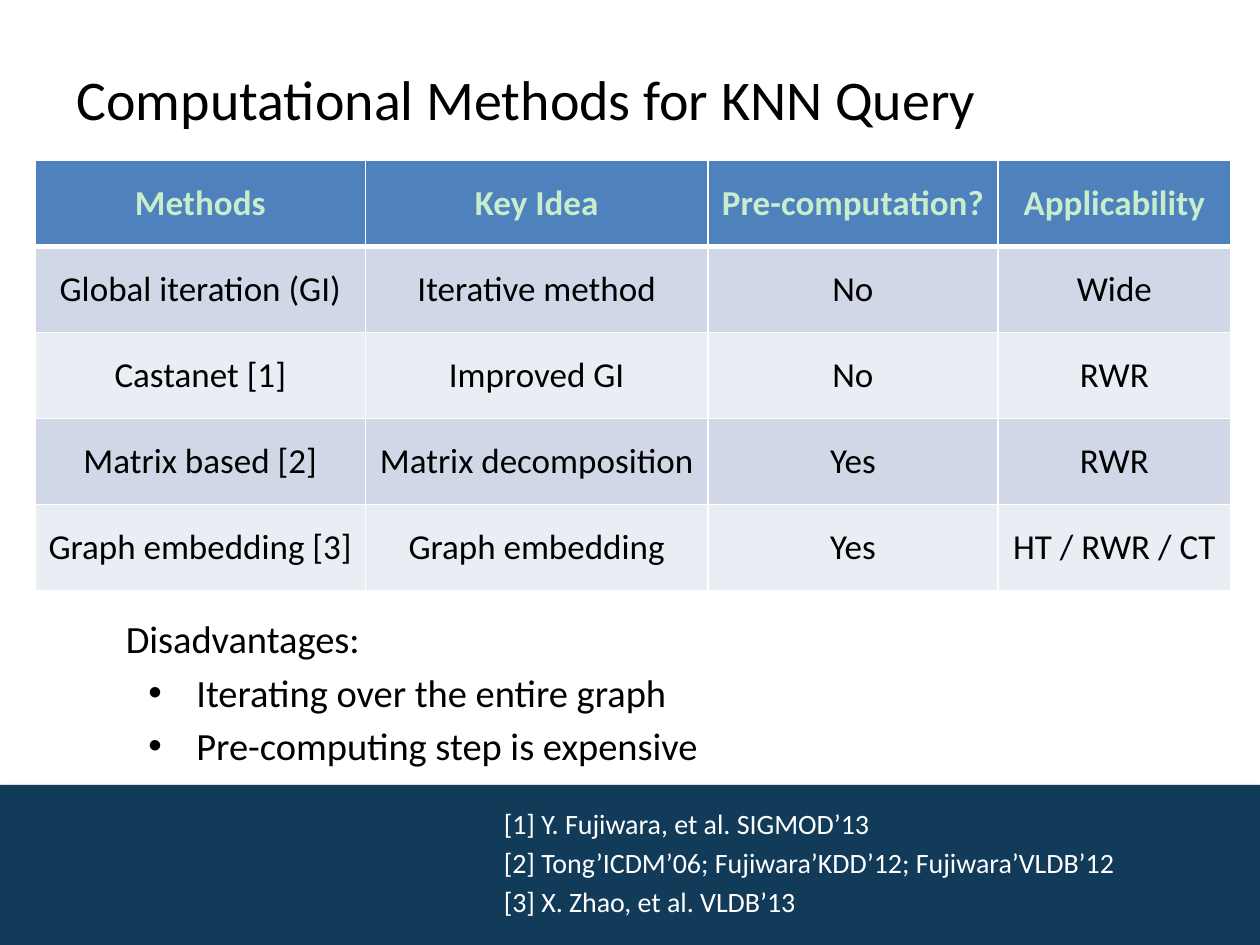
from itertools import product
from lxml.etree import SubElement
from pptx import Presentation
from pptx.dml.color import RGBColor
from pptx.enum.shapes import MSO_SHAPE
from pptx.enum.text import MSO_ANCHOR, PP_ALIGN
from pptx.oxml.ns import qn
from pptx.util import Inches, Pt

WIDE, HIGH = 10, 7.5
FONT = "Calibri"
HEX = {"page": "FFFFFF", "bar": "123A59", "ink": "000000", "mint": "C7EDCC",
       "head": "4F81BD", "dark": "D0D8E8", "pale": "E9EDF4", "rule": "FFFFFF"}
COLS = [2.62, 2.72, 2.3, 1.85]
ROWS = [
    ["Methods", "Key Idea", "Pre-computation?", "Applicability"],
    ["Global iteration (GI)", "Iterative method", "No", "Wide"],
    ["Castanet [1]", "Improved GI", "No", "RWR"],
    ["Matrix based [2]", "Matrix decomposition", "Yes", "RWR"],
    ["Graph embedding [3]", "Graph embedding", "Yes", "HT / RWR / CT"],
]
REFS = ["[1] Y. Fujiwara, et al. SIGMOD’13",
        "[2] Tong’ICDM’06; Fujiwara’KDD’12; Fujiwara’VLDB’12",
        "[3] X. Zhao, et al. VLDB’13"]
FLAWS = ["Iterating over the entire graph", "Pre-computing step is expensive"]


def paint(fill, name):
    """Give a fill one solid colour."""
    fill.solid()
    fill.fore_color.rgb = RGBColor.from_string(HEX[name])


def write(para, text, size, name, bold=False):
    """Add one styled run to a paragraph."""
    run = para.add_run()
    run.text = text
    run.font.name, run.font.size, run.font.bold = FONT, Pt(size), bold
    run.font.color.rgb = RGBColor.from_string(HEX[name])


def indent(para, left, first, mark=None):
    """Set a paragraph's indents and its bullet."""
    props = para._p.get_or_add_pPr()
    props.set("marL", str(Inches(left)))
    props.set("indent", str(Inches(first)))
    if mark:
        SubElement(props, qn("a:buFont")).set("typeface", "Arial")
        SubElement(props, qn("a:buChar")).set("char", mark)


def add_text(slide, box, lines, size, name):
    """Add a text box with one paragraph per line."""
    frame = slide.shapes.add_textbox(*map(Inches, box)).text_frame
    frame.word_wrap = True
    for i, line in enumerate(lines):
        para = frame.add_paragraph() if i else frame.paragraphs[0]
        para.space_before = Pt(size * 0.2)
        write(para, line, size, name)
    return frame


def add_bar(slide, top):
    """Add the footer band with its soft shadow."""
    box = map(Inches, (0, top, WIDE, HIGH - top))
    bar = slide.shapes.add_shape(MSO_SHAPE.RECTANGLE, *box)
    paint(bar.fill, "bar")
    bar.line.fill.background()
    bar.shadow.inherit = False
    glow = SubElement(bar._element.spPr.find(qn("a:effectLst")), qn("a:outerShdw"),
                      blurRad=str(Pt(3.1)), dist=str(Pt(1.8)), dir="5400000",
                      rotWithShape="0")
    tint = SubElement(glow, qn("a:srgbClr"), val=HEX["ink"])
    SubElement(tint, qn("a:alpha"), val="35000")


def edge(cell, side, width):
    """Put a ruled line on one side of a cell."""
    line = SubElement(cell._tc.get_or_add_tcPr(), qn("a:ln" + side), w=str(Pt(width)))
    fill = SubElement(line, qn("a:solidFill"))
    SubElement(fill, qn("a:srgbClr"), val=HEX["rule"])


def add_grid(slide, left, top, step):
    """Add the table of methods."""
    box = map(Inches, (left, top, sum(COLS), step * len(ROWS)))
    grid = slide.shapes.add_table(len(ROWS), len(COLS), *box).table
    for col, width in zip(grid.columns, COLS):
        col.width = Inches(width)
    for r, c in product(range(len(ROWS)), range(len(COLS))):
        cell, head = grid.cell(r, c), r == 0
        for side in "LRTB":
            thick = (head and side == "B") or (r == 1 and side == "T")
            edge(cell, side, 3 if thick else 1)
        paint(cell.fill, "head" if head else "dark" if r % 2 else "pale")
        cell.vertical_anchor = MSO_ANCHOR.MIDDLE
        para = cell.text_frame.paragraphs[0]
        para.alignment = PP_ALIGN.CENTER
        write(para, ROWS[r][c], 20, "mint" if head else "ink", head)


def main():
    """Build and save the slide."""
    deck = Presentation()
    deck.slide_width, deck.slide_height = Inches(WIDE), Inches(HIGH)
    slide = deck.slides.add_slide(deck.slide_layouts[6])
    paint(slide.background.fill, "page")
    add_bar(slide, 6.23)
    title = add_text(slide, (0.51, 0.43, 8.04, 0.75),
                     ["Computational Methods for KNN Query"], 32, "ink")
    title.margin_top, title.margin_bottom = Inches(0.08), 0
    title.paragraphs[0].space_before = Pt(0)
    add_grid(slide, 0.28, 1.27, 0.684)
    add_text(slide, (3.9, 6.35, 5.24, 1.01), REFS, 16, "page")
    notes = add_text(slide, (0.84, 4.83, 5.14, 1.36), ["Disadvantages:", *FLAWS], 22, "ink")
    lead, *items = notes.paragraphs
    indent(lead, 0.06, 0)
    for item in items:
        indent(item, 0.62, -0.38, "•")
    deck.save("out.pptx")


if __name__ == "__main__":
    main()
